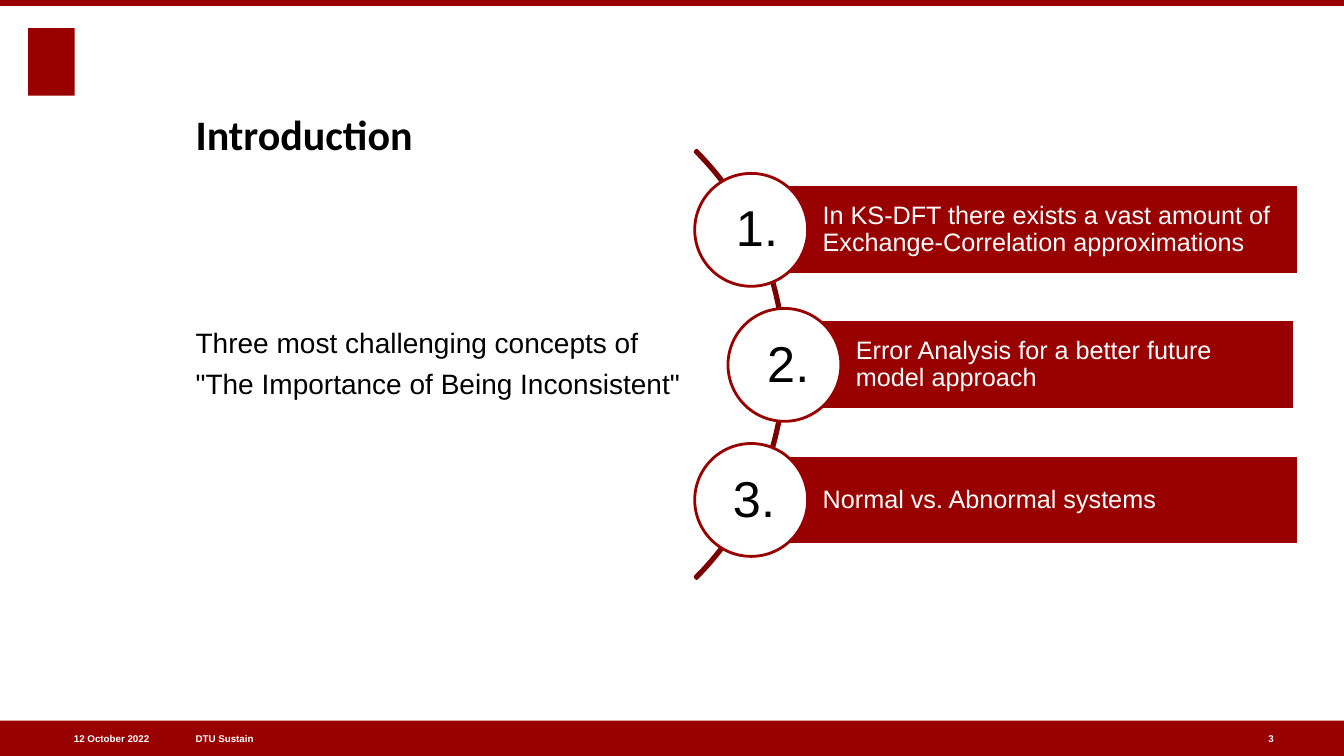
from pptx import Presentation
from pptx.dml.color import RGBColor
from pptx.enum.shapes import MSO_SHAPE
from pptx.enum.text import MSO_ANCHOR, PP_ALIGN
from pptx.util import Inches, Pt

RECT, OVAL, ARC = MSO_SHAPE.RECTANGLE, MSO_SHAPE.OVAL, MSO_SHAPE.BLOCK_ARC
TOP, MIDDLE, BOTTOM = MSO_ANCHOR.TOP, MSO_ANCHOR.MIDDLE, MSO_ANCHOR.BOTTOM
LEFT, RIGHT = PP_ALIGN.LEFT, PP_ALIGN.RIGHT
COLORS = {"red": "990000", "dark": "7B0000", "white": "FFFFFF", "black": "000000"}

# Grid
WIDTH, HEIGHT = 13.33, 7.5
MARGIN = 1.94
FOOTER_HEIGHT = 0.35
FOOTER_TOP = HEIGHT - FOOTER_HEIGHT
ROW_TOP, ROW_STEP = 1.72, 1.34
CIRCLE, BAR_HEIGHT = 1.12, 0.89

deck = Presentation()
deck.slide_width, deck.slide_height = Inches(WIDTH), Inches(HEIGHT)
page = deck.slides.add_slide(deck.slide_layouts[6])


def add_figure(kind, area, fill=None, line=None):
    figure = page.shapes.add_shape(kind, *map(Inches, area))
    figure.shadow.inherit = False
    if fill:
        figure.fill.solid()
        figure.fill.fore_color.rgb = RGBColor.from_string(COLORS[fill])
    else:
        figure.fill.background()
    if line:
        figure.line.color.rgb = RGBColor.from_string(COLORS[line])
        figure.line.width = Pt(2)
    else:
        figure.line.fill.background()
    return figure


def write(box, lines, size, color, anchor=TOP, align=LEFT, insets=(0, 0, 0, 0),
          font="Arial", bold=False, spacing=1.0):
    frame = box.text_frame
    left, top, right, bottom = map(Inches, insets)
    frame_format = {"word_wrap": True, "vertical_anchor": anchor,
                    "margin_left": left, "margin_top": top,
                    "margin_right": right, "margin_bottom": bottom}
    for name, value in frame_format.items():
        setattr(frame, name, value)
    for index, line in enumerate(lines):
        para = frame.add_paragraph() if index else frame.paragraphs[0]
        para.alignment, para.line_spacing = align, spacing
        if index:
            para.space_before = Pt(5)
        span = para.add_run()
        span.text = line
        for name, value in {"name": font, "size": Pt(size), "bold": bold}.items():
            setattr(span.font, name, value)
        span.font.color.rgb = RGBColor.from_string(COLORS[color])


# Top stripe, emblem block and footer band
for area in [(0, 0, WIDTH, 0.06), (0.28, 0.28, 0.46, 0.67),
             (0, FOOTER_TOP, WIDTH, FOOTER_HEIGHT)]:
    add_figure(RECT, area, "red")

# Footer texts
for left, width, text, align in [(0.27, 1.21, "12 October 2022", RIGHT),
                                 (MARGIN, 3.72, "DTU Sustain", LEFT),
                                 (12.58, 0.47, "3", LEFT)]:
    box = page.shapes.add_textbox(*map(Inches, (left, FOOTER_TOP, width, FOOTER_HEIGHT)))
    write(box, [text], 7, "white", MIDDLE, align, bold=True)

# Title and lead text
title = page.shapes.add_textbox(*map(Inches, (MARGIN, 0.52, 10.18, 1.06)))
write(title, ["Introduction"], 30, "black", BOTTOM, font="Calibri", bold=True)
lead = page.shapes.add_textbox(*map(Inches, (MARGIN, 3.23, 5.28, 0.73)))
write(lead, ["Three most challenging concepts of",
             '"The Importance of Being Inconsistent"'], 20, "black")

# Arc behind the three concepts
arc = add_figure(ARC, (1.78, 0.61, 6.01, 6.01), line="dark")
for index, value in enumerate((189, 27, 0.004)):
    arc.adjustments[index] = value

# Concepts: bar, circle and number, with the middle row shifted along the arc
concepts = [
    (6.89, 12.88, 7.30, "In KS-DFT there exists a vast amount of "
                        "Exchange-Correlation approximations"),
    (7.22, 12.84, 7.61, "Error Analysis for a better future model approach"),
    (6.89, 12.88, 7.27, "Normal vs. Abnormal systems"),
]
for row, (circle_left, bar_right, number_left, text) in enumerate(concepts):
    top = ROW_TOP + row * ROW_STEP
    bar_left = circle_left + CIRCLE / 2
    bar_top = top + (CIRCLE - BAR_HEIGHT) / 2
    bar = add_figure(RECT, (bar_left, bar_top, bar_right - bar_left, BAR_HEIGHT),
                     "red", "white")
    write(bar, [text], 18, "white", MIDDLE, insets=(0.71, 0.05, 0.16, 0.05), spacing=0.9)
    add_figure(OVAL, (circle_left, top, CIRCLE, CIRCLE), "white", "red")
    number = page.shapes.add_textbox(*map(Inches, (number_left, top + 0.23, 0.63, 0.61)))
    write(number, [f"{row + 1}."], 36, "black")

deck.save("out.pptx")
